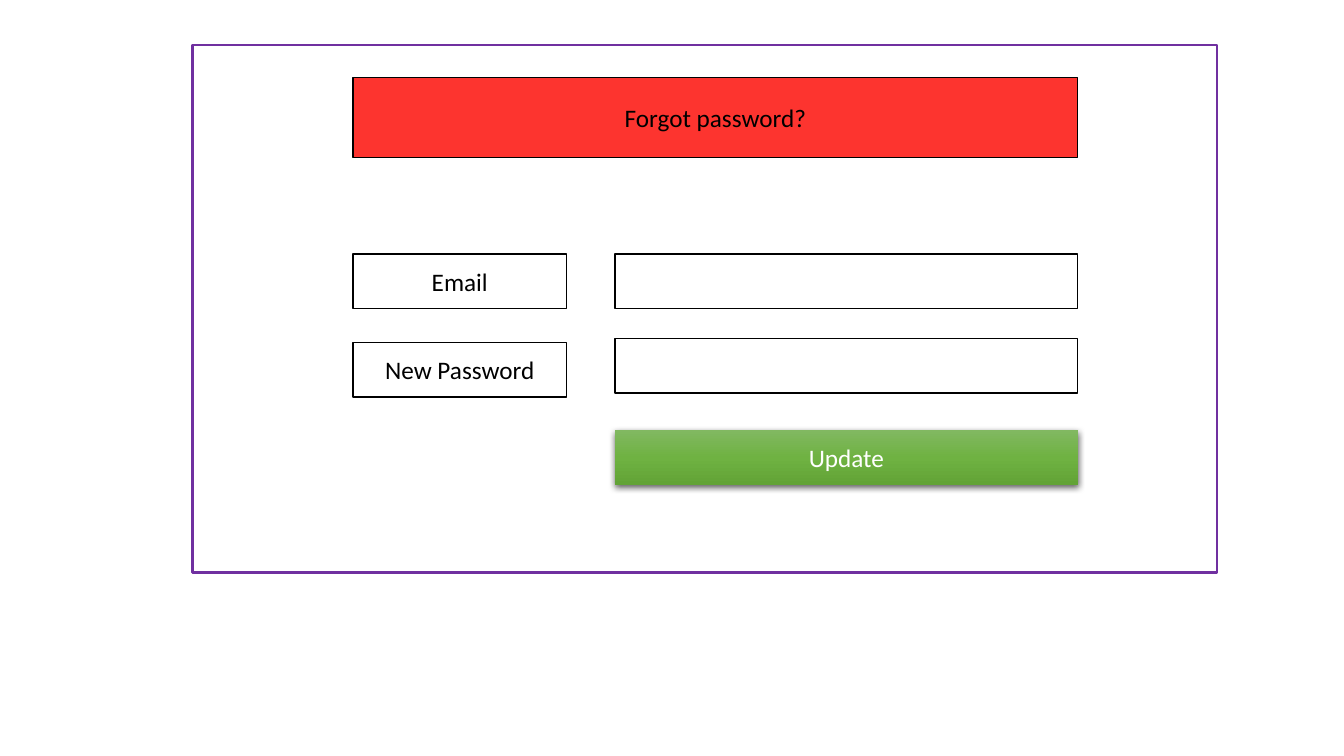
from lxml.etree import SubElement
from pptx import Presentation
from pptx.dml.color import RGBColor
from pptx.enum.shapes import MSO_SHAPE
from pptx.enum.text import MSO_ANCHOR, PP_ALIGN
from pptx.oxml import parse_xml
from pptx.oxml.ns import nsdecls, qn
from pptx.util import Inches, Pt


def color(code):
    return RGBColor.from_string(code)


def add_box(left, top, width, height, text="", fill="FFFFFF",
            line="000000", weight=1, ink="000000"):
    box = slide.shapes.add_shape(MSO_SHAPE.RECTANGLE, Inches(left), Inches(top),
                                 Inches(width), Inches(height))
    box.shadow.inherit = False
    box.fill.solid()
    box.fill.fore_color.rgb = color(fill)
    box.line.color.rgb = color(line)
    box.line.width = Pt(weight)
    if text:
        frame = box.text_frame
        frame.text = text
        frame.vertical_anchor = MSO_ANCHOR.MIDDLE
        para = frame.paragraphs[0]
        para.alignment = PP_ALIGN.CENTER
        font = para.runs[0].font
        font.name = "Calibri"
        font.size = Pt(18)
        font.color.rgb = color(ink)
    return box


deck = Presentation()
deck.slide_width = Inches(13.33)
deck.slide_height = Inches(7.5)
slide = deck.slides.add_slide(deck.slide_layouts[6])

# Form columns and row height
label_x, label_w = 3.5, 2.12
field_x, field_w = 6.1, 4.59
row_h = 0.54

# Frame and heading
add_box(1.91, 0.45, 10.16, 5.23, line="7030A0", weight=1.5)
add_box(label_x, 0.77, field_x + field_w - label_x, 0.79,
        "Forgot password?", fill="FD342F")

# Labels with their entry fields
for name, label_y, field_y in [("Email", 2.52, 2.52), ("New Password", 3.4, 3.36)]:
    add_box(label_x, label_y, label_w, row_h, name)
    add_box(field_x, field_y, field_w, row_h)

# Update button with three-stop gradient
button = add_box(field_x, 4.27, field_w, row_h, "Update", ink="FFFFFF")
button.line.fill.background()
button.fill.gradient()
button.fill.gradient_angle = 270
props = button.element.spPr
stops = props.find(".//" + qn("a:gsLst"))
for stop in list(stops):
    stops.remove(stop)
for place, code in [(0, "81B861"), (50, "6FB242"), (100, "62A336")]:
    stop = SubElement(stops, qn("a:gs"), pos=str(place * 1000))
    SubElement(stop, qn("a:srgbClr"), val=code)

# Button shadow
props.find(qn("a:effectLst")).append(parse_xml(
    f'<a:outerShdw {nsdecls("a")} blurRad="{Pt(4.5)}" dist="{Pt(1.5)}" '
    'dir="5400000" algn="ctr" rotWithShape="0">'
    '<a:srgbClr val="000000"><a:alpha val="63000"/></a:srgbClr></a:outerShdw>'))

deck.save("out.pptx")
